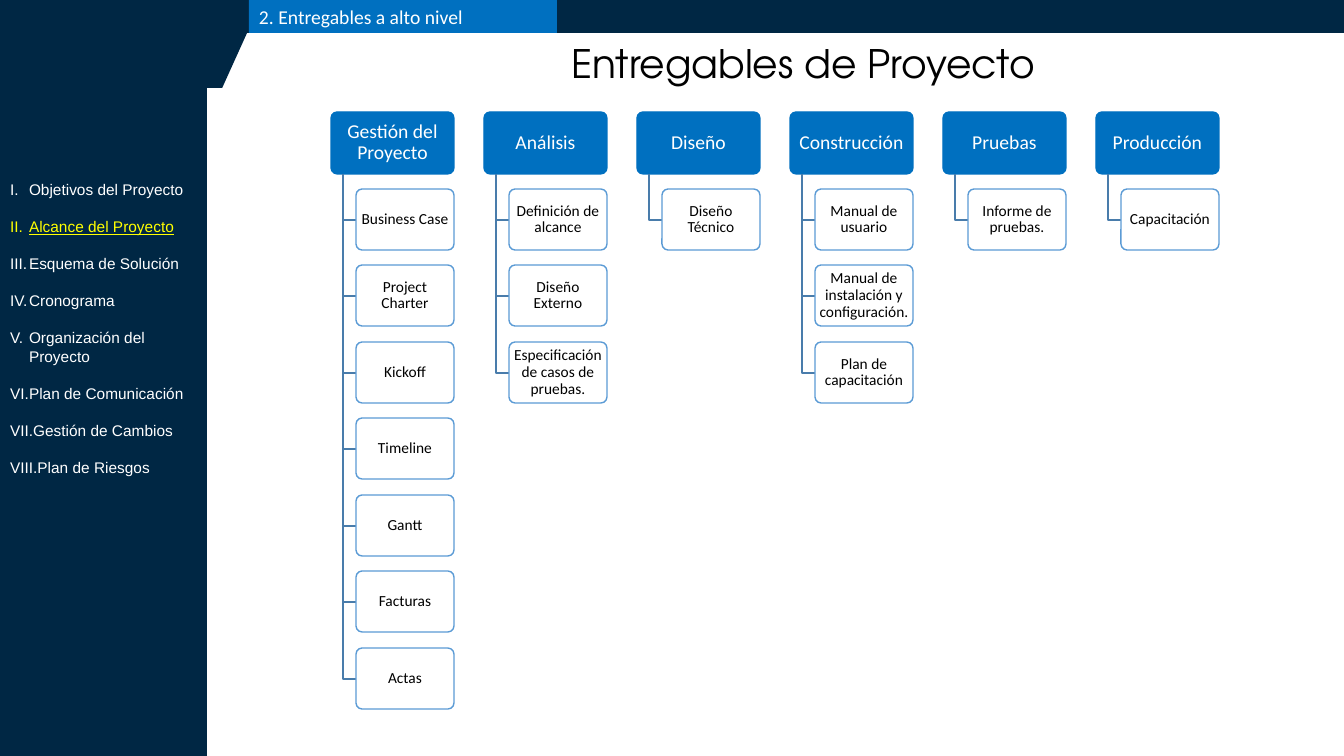
"""Build the project deliverables slide: agenda sidebar and a tree of phases."""
from lxml.etree import SubElement
from pptx import Presentation
from pptx.dml.color import RGBColor
from pptx.enum.shapes import MSO_SHAPE as Shape
from pptx.enum.text import MSO_ANCHOR as Anchor, MSO_AUTO_SIZE as AutoSize, PP_ALIGN as Align
from pptx.oxml.ns import qn
from pptx.util import Pt

PX = 914400 / 100.8
NAVY = RGBColor(0x00, 0x27, 0x44)
BLUE = RGBColor(0x00, 0x70, 0xC0)
SKY = RGBColor(0x5B, 0x9B, 0xD5)
STEEL = RGBColor(0x49, 0x7C, 0xAB)
WHITE = RGBColor(0xFF, 0xFF, 0xFF)
BLACK = RGBColor(0x00, 0x00, 0x00)
YELLOW = RGBColor(0xFF, 0xFF, 0x00)

AGENDA = [
    "Objetivos del Proyecto", "Alcance del Proyecto", "Esquema de Solución", "Cronograma",
    "Organización del Proyecto", "Plan de Comunicación", "Gestión de Cambios", "Plan de Riesgos",
]
CURRENT = "Alcance del Proyecto"
PHASES = {
    "Gestión del Proyecto": ["Business Case", "Project Charter", "Kickoff", "Timeline",
                             "Gantt", "Facturas", "Actas"],
    "Análisis": ["Definición de alcance", "Diseño Externo", "Especificación de casos de pruebas."],
    "Diseño": ["Diseño Técnico"],
    "Construcción": ["Manual de usuario", "Manual de instalación y configuración.",
                     "Plan de capacitación"],
    "Pruebas": ["Informe de pruebas."],
    "Producción": ["Capacitación"],
}


def write(shape, text, para=None, size=11, font="Calibri", color=BLACK, align=Align.CENTER,
          anchor=Anchor.MIDDLE, inset=(10, 5), spacing=None, underline=None):
    """Write one formatted paragraph into a shape."""
    frame = shape.text_frame
    frame.word_wrap = True
    frame.auto_size = AutoSize.NONE
    frame.vertical_anchor = anchor
    frame.margin_left = frame.margin_right = round(inset[0] * PX)
    frame.margin_top = frame.margin_bottom = round(inset[1] * PX)
    para = para or frame.paragraphs[0]
    para.alignment = align
    para.line_spacing = spacing
    para.space_before = Pt(0)
    span = para.add_run()
    span.text = text
    span.font.size = Pt(size)
    span.font.name = font
    span.font.color.rgb = color
    span.font.underline = underline
    return para


def add_box(shapes, kind, left, top, width, height, fill, line=None, corner=None):
    """Add a flat filled shape measured in px."""
    box = shapes.add_shape(kind, *(round(n * PX) for n in (left, top, width, height)))
    box.shadow.inherit = False
    box.fill.solid()
    box.fill.fore_color.rgb = fill
    if line is None:
        box.line.fill.background()
    else:
        box.line.color.rgb = line
        box.line.width = Pt(1)
    if corner is not None:
        box.adjustments[0] = corner
    return box


deck = Presentation()
deck.slide_width, deck.slide_height = round(1344 * PX), round(756 * PX)
page = deck.slides.add_slide(deck.slide_layouts[1])
title, agenda = page.placeholders

add_box(page.shapes, Shape.FLOWCHART_PROCESS, 207, 0, 1137, 33, NAVY)
add_box(page.shapes, Shape.FLOWCHART_DATA, 63, 0, 199, 88, NAVY)
add_box(page.shapes, Shape.RECTANGLE, 0, 0, 207, 756, NAVY)

title.left, title.top, title.width, title.height = (round(n * PX) for n in (358, 34, 890, 58))
title.element.getparent().append(title.element)
write(title, "Entregables de Proyecto", size=28, font="TeX Gyre Adventor", anchor=Anchor.TOP)

section = add_box(page.shapes, Shape.ROUNDED_RECTANGLE, 249, 0, 308, 33, BLUE, corner=0)
write(section, "2. Entregables a alto nivel", size=14, color=WHITE, align=Align.LEFT)

agenda.left, agenda.top, agenda.width, agenda.height = (round(n * PX) for n in (0, 175, 207, 328))
agenda.element.getparent().append(agenda.element)
for number, topic in enumerate(AGENDA):
    active = topic == CURRENT
    para = write(agenda, topic, para=agenda.text_frame.add_paragraph() if number else None,
                 font="Arial", color=YELLOW if active else WHITE, align=Align.LEFT,
                 anchor=Anchor.TOP, spacing=Pt(13.3), underline=active)
    para.space_after = Pt(13.2)
    layout = para._p.get_or_add_pPr()
    layout.set("marL", str(round(19 * PX)))
    layout.set("indent", str(round(-19 * PX)))
    SubElement(layout, qn("a:buFont"), typeface="Arial")
    SubElement(layout, qn("a:buAutoNum"), type="romanUcPeriod")

for column, (phase, deliverables) in enumerate(PHASES.items()):
    left = 331 + 153 * column
    header = add_box(page.shapes, Shape.ROUNDED_RECTANGLE, left, 112, 123, 62, BLUE, BLUE, 0.1)
    write(header, phase, size=14, color=WHITE, inset=(3, 2), spacing=0.9)
    for row, deliverable in enumerate(deliverables):
        top = 189 + 153 * row // 2
        outline = page.shapes.build_freeform(left + 12, 174, scale=PX)
        outline.add_line_segments([(left + 12, top + 31), (left + 25, top + 31)], close=False)
        branch = outline.convert_to_shape()
        branch.shadow.inherit = False
        branch.fill.background()
        branch.line.color.rgb = STEEL
        branch.line.width = Pt(1)
        leaf = add_box(page.shapes, Shape.ROUNDED_RECTANGLE, left + 25, top, 98, 61, WHITE, SKY, 0.1)
        write(leaf, deliverable, inset=(2, 2), spacing=0.9)

deck.save("out.pptx")
